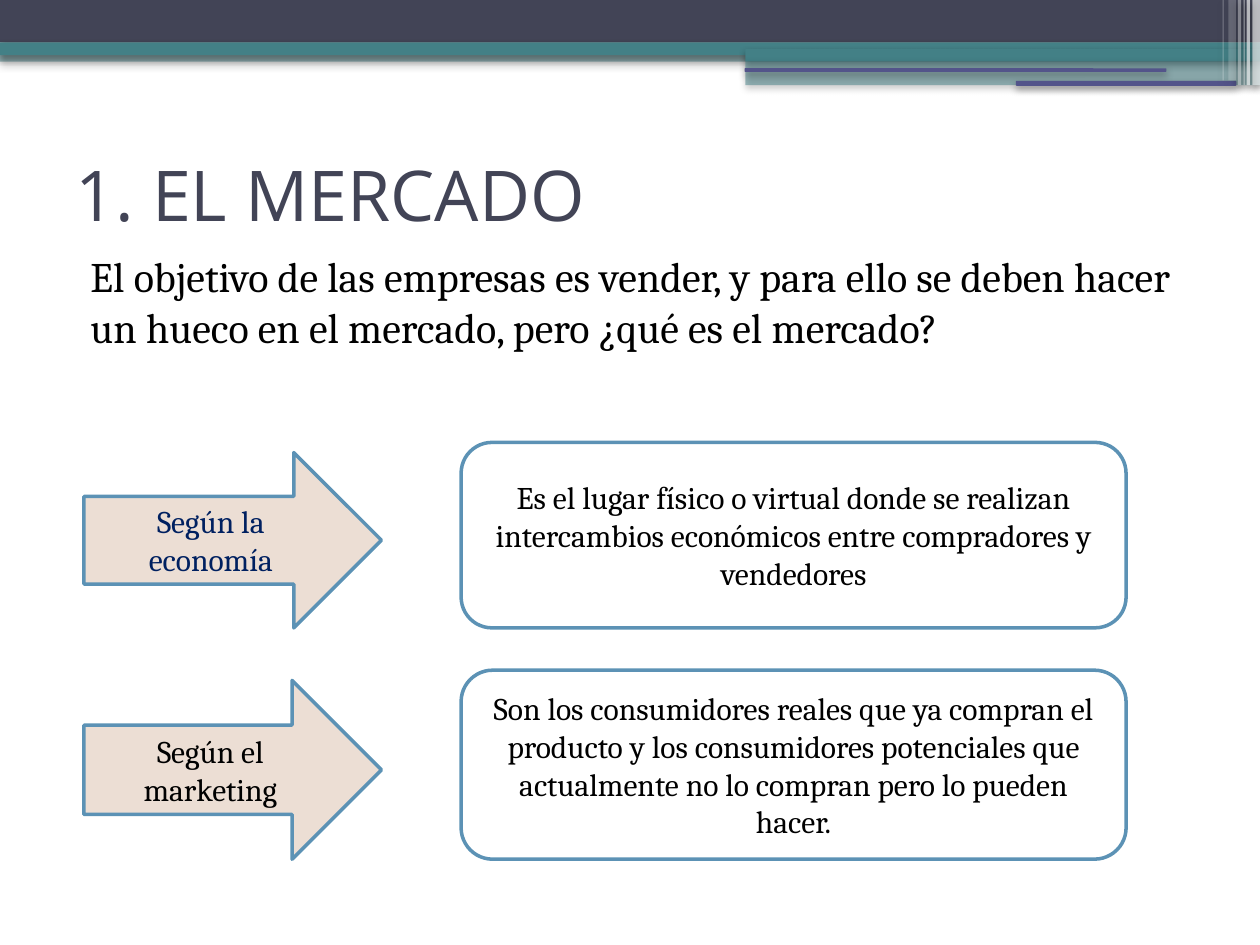
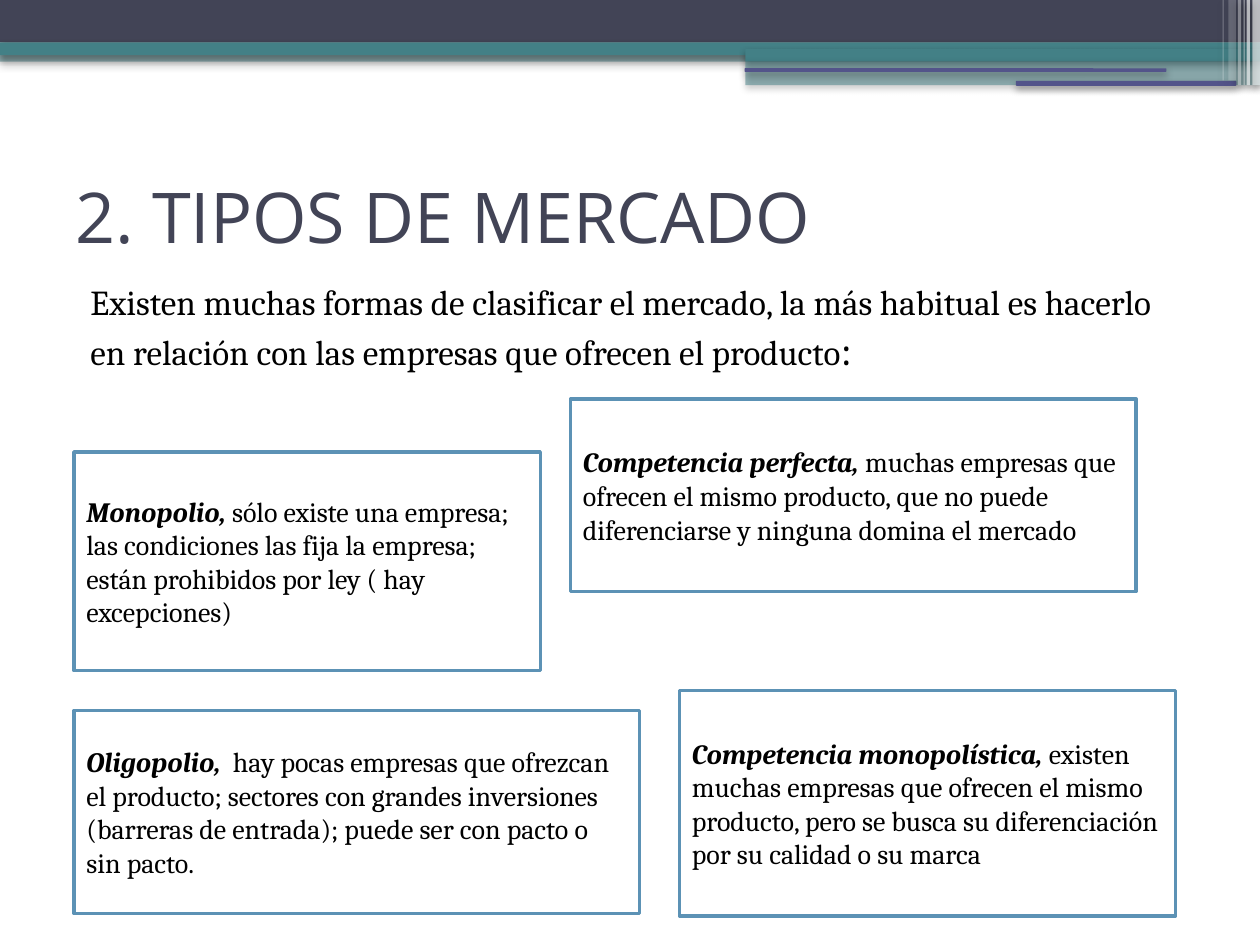
import lxml.etree
import pptx
import pptx.dml.color
import pptx.enum.shapes
import pptx.enum.text
import pptx.oxml.ns
import pptx.util

Pt = pptx.util.Pt
RGB = pptx.dml.color.RGBColor
KIND = pptx.enum.shapes.MSO_SHAPE
ALIGN = pptx.enum.text.PP_ALIGN
ANCHOR = pptx.enum.text.MSO_ANCHOR
qn = pptx.oxml.ns.qn

NAVY = RGB(0x42, 0x44, 0x56)
TEAL = RGB(0x43, 0x80, 0x86)
VIOLET = RGB(0x53, 0x54, 0x8A)
WHITE = RGB(0xFF, 0xFF, 0xFF)
BLACK = RGB(0, 0, 0)
BLUE = RGB(0x5C, 0x92, 0xB5)
SAND = RGB(0xEC, 0xDE, 0xD4)
DEEP = RGB(0x00, 0x20, 0x60)
HEAD, BODY = "Open Sans", "Cambria"

WIDE, HIGH = 720, 540
LEFT, SPAN = 36, 648
FOOT = 517.7

# Header: left, top, width, height, colour, opacity in percent
BANDS = [
    (0, 28.8, WIDE, 6.5, TEAL, 50),
    (0, 0, WIDE, 24.3, NAVY, 100),
    (0, 24.3, WIDE, 7.3, TEAL, 100),
    (426, 28, 294, 7, TEAL, 100),
    (426, 34.6, 294, 14.1, TEAL, 50),
]
RULES = [(425.5, 39, 241, 2), (580.5, 46.2, 126, 2.8)]
# Stripes at the right edge: left, width, height, opacity
BARS = [
    (715.7, 4.3, 48.7, 66), (712.3, 2, 48.7, 66), (710.6, 0.7, 48.7, 60),
    (707.3, 2, 48.7, 40), (702, 4.3, 46, 20), (698.6, 0.7, 46, 31),
]

MARKET = {
    "title": "1. EL MERCADO", "top": 77, "high": 67.7,
    "intro": [("El objetivo de las empresas es vender, y para ello se deben "
               "hacer un hueco en el mercado, pero ¿qué es el mercado?", {})],
    "start": 139.7, "size": 24,
}
# Label, its colour, definition, box top, box height
VIEWS = [
    ("Según la economía", DEEP,
     "Es el lugar físico o virtual donde se realizan intercambios "
     "económicos entre compradores y vendedores", 252.8, 106),
    ("Según el marketing", BLACK,
     "Son los consumidores reales que ya compran el producto y los "
     "consumidores potenciales que actualmente no lo compran pero lo "
     "pueden hacer.", 383, 108),
]

TYPES = {
    "title": "2. TIPOS DE MERCADO", "top": 90, "high": 66.5,
    "intro": [("Existen muchas formas de clasificar el mercado, la más "
               "habitual es hacerlo en relación con las empresas que "
               "ofrecen el producto", {}), (":", {"size": 24})],
    "start": 157, "size": 20,
}
# Term, description, place of the box
CARDS = [
    ("Monopolio, ",
     "sólo existe una empresa; las condiciones las fija la empresa; están "
     "prohibidos por ley ( hay excepciones)", (42.3, 258.3, 266.5, 125)),
    ("Competencia perfecta, ",
     "muchas empresas que ofrecen el mismo producto, que no puede "
     "diferenciarse y ninguna domina el mercado", (326, 228, 323.3, 110)),
    ("Competencia monopolística, ",
     "existen muchas empresas que ofrecen el mismo producto, pero se busca "
     "su diferenciación por su calidad o su marca",
     (388.3, 394.5, 283.5, 129)),
    ("Oligopolio, ",
     " hay pocas empresas que ofrezcan el producto; sectores con grandes "
     "inversiones (barreras de entrada); puede ser con pacto o sin pacto.",
     (42.3, 406, 323.3, 116)),
]


def write(shape, runs, size=18, font=BODY, color=BLACK, align=ALIGN.LEFT,
          anchor=ANCHOR.MIDDLE, indent=0, before=0):
    """Put one paragraph of (text, changes) runs into a shape."""
    frame = shape.text_frame
    frame.word_wrap = True
    frame.vertical_anchor = anchor
    para = frame.paragraphs[0]
    para.alignment = align
    para.space_before = Pt(before)
    if indent:
        para._p.get_or_add_pPr().set("marL", str(Pt(indent)))
    for text, change in runs:
        run = para.add_run()
        run.text = text
        run.font.name = font
        run.font.size = Pt(change.get("size", size))
        run.font.color.rgb = color
        run.font.bold = run.font.italic = change.get("strong", False)


def draw(slide, kind, place, fill, line=None):
    """Add a filled preset shape without a shadow."""
    shape = slide.shapes.add_shape(kind, *[Pt(part) for part in place])
    shape.fill.solid()
    shape.fill.fore_color.rgb = fill
    if line is None:
        shape.line.fill.background()
    else:
        shape.line.color.rgb = line
        shape.line.width = Pt(2)
    shape.shadow.inherit = False
    return shape


def fade(node, part):
    """Set the opacity of a colour node in percent."""
    lxml.etree.SubElement(node, qn("a:alpha"), val=str(part * 1000))


def band(slide, kind, place, fill, part=100):
    """Add a header strip with opacity and a soft shadow."""
    props = draw(slide, kind, place, fill).element.spPr
    if part < 100:
        fade(props.find(qn("a:solidFill"))[0], part)
    cast = lxml.etree.SubElement(
        props.find(qn("a:effectLst")), qn("a:outerShdw"),
        blurRad=str(Pt(4.1)), dist=str(Pt(2)), dir="5400000",
        algn="tl", rotWithShape="0")
    fade(lxml.etree.SubElement(cast, qn("a:srgbClr"), val=str(BLACK)), 40)


def label(slide, place, runs, **form):
    """Add a text box."""
    box = slide.shapes.add_textbox(*[Pt(part) for part in place])
    write(box, runs, **form)


def page(deck, data):
    """Add a slide with header, title and opening text."""
    slide = deck.slides.add_slide(deck.slide_layouts[6])
    for *place, fill, part in BANDS:
        band(slide, KIND.RECTANGLE, place, fill, part)
    for place in RULES:
        band(slide, KIND.ROUNDED_RECTANGLE, place, VIOLET)
    for left, width, height, part in BARS:
        band(slide, KIND.RECTANGLE, (left, 0, width, height), WHITE, part)
    label(slide, (LEFT, data["top"], SPAN, data["high"]),
          [(data["title"], {})], size=40, font=HEAD, color=NAVY)
    label(slide, (LEFT, data["start"], SPAN, FOOT - data["start"]),
          data["intro"], size=data["size"], anchor=ANCHOR.TOP,
          indent=8.64, before=3)
    return slide


def views(slide):
    """Add an arrow and a definition box for each view."""
    for name, color, text, top, high in VIEWS:
        drop = 5.8
        arrow = draw(slide, KIND.RIGHT_ARROW,
                     (48, top + drop, 170, high - drop), SAND, BLUE)
        write(arrow, [(name, {})], color=color, align=ALIGN.CENTER)
        box = draw(slide, KIND.ROUNDED_RECTANGLE,
                   (263.5, top, 380, high), WHITE, BLUE)
        write(box, [(text, {})], align=ALIGN.CENTER)


def cards(slide):
    """Add a framed box for each type of market."""
    for term, text, place in CARDS:
        box = draw(slide, KIND.RECTANGLE, place, WHITE, BLUE)
        write(box, [(term, {"strong": True}), (text, {})], size=16)


deck = pptx.Presentation()
deck.slide_width, deck.slide_height = Pt(WIDE), Pt(HIGH)
views(page(deck, MARKET))
cards(page(deck, TYPES))
deck.save("out.pptx")
